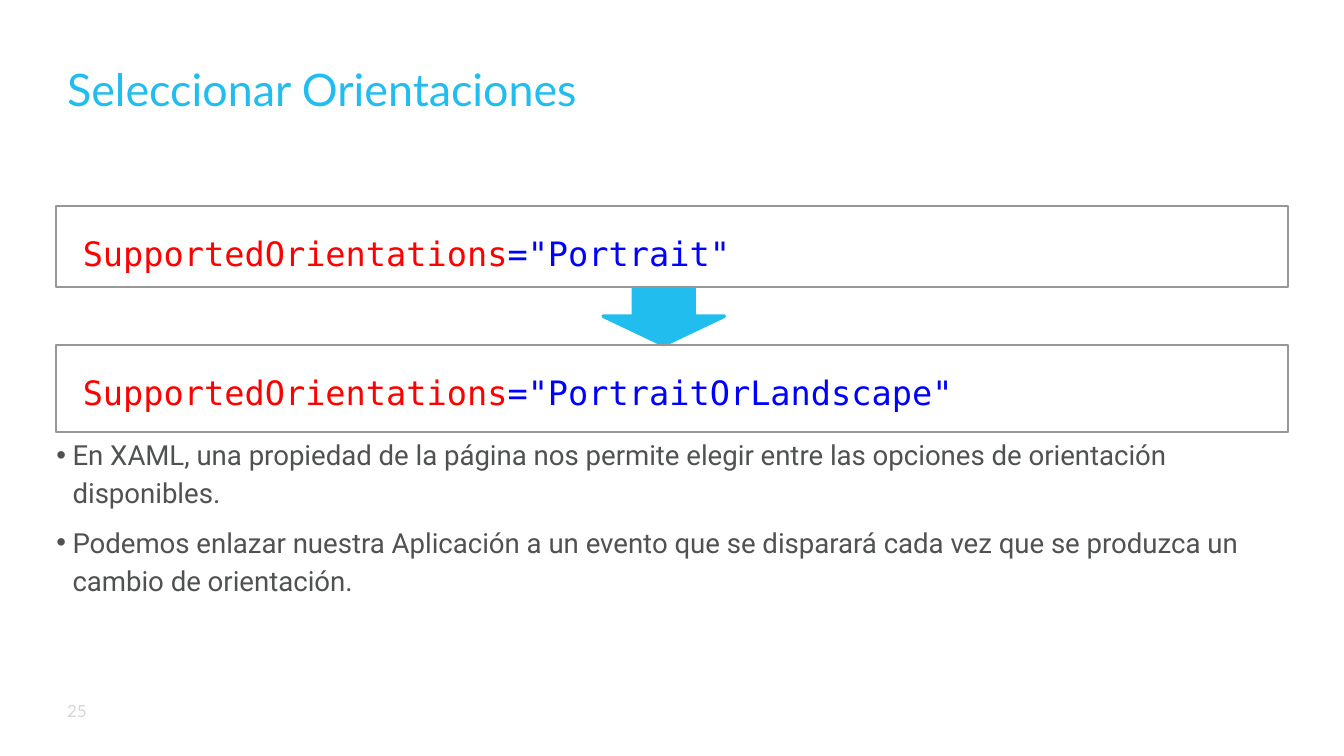
from lxml.etree import SubElement
from pptx import Presentation
from pptx.dml.color import RGBColor
from pptx.enum.shapes import MSO_SHAPE as Shape
from pptx.enum.text import MSO_ANCHOR as Anchor, PP_ALIGN as Align
from pptx.oxml.ns import qn
from pptx.util import Inches, Pt

WIDTH = 10  # slide size, inches, 16:9
HEIGHT = WIDTH * 9 / 16
ACCENT, BODY, MUTED, BORDER = "22BDEF", "505151", "D5D5D5", "979796"
ATTRIBUTE, VALUE = "FF0000", "0000FF"


def color(hex_string):
    return RGBColor.from_string(hex_string)


def place(left, top, width, height):
    """Turn a box given in percent of the slide into lengths."""
    shares = zip((left, top, width, height), (WIDTH, HEIGHT) * 2)
    return [Inches(share * side / 100) for share, side in shares]


def set_font(font, name, size, hex_string):
    font.name, font.size = name, Pt(size)
    font.color.rgb = color(hex_string)


def set_frame(shape, margins=(0, 0, 0, 0), anchor=Anchor.TOP, wrap=True):
    frame = shape.text_frame
    frame.margin_left, frame.margin_top, frame.margin_right, frame.margin_bottom = map(Inches, margins)
    frame.vertical_anchor, frame.word_wrap = anchor, wrap
    return frame


def add_shape(slide, kind, box, fill, line, line_width):
    shape = slide.shapes.add_shape(kind, *place(*box))
    shape.shadow.inherit = False
    shape.fill.solid()
    shape.fill.fore_color.rgb = color(fill)
    shape.line.color.rgb = color(line)
    shape.line.width = Pt(line_width)
    return shape


def add_label(slide, box, text, size, hex_string, spacing, **frame_options):
    frame = set_frame(slide.shapes.add_textbox(*place(*box)), **frame_options)
    paragraph = frame.paragraphs[0]
    paragraph.text, paragraph.line_spacing = text, spacing
    set_font(paragraph.font, "Lato", size, hex_string)


def add_bullets(slide, box, items):
    frame = set_frame(slide.shapes.add_textbox(*place(*box)))
    for index, item in enumerate(items):
        paragraph = frame.paragraphs[0] if index == 0 else frame.add_paragraph()
        paragraph.text, paragraph.line_spacing = item, 1.15
        paragraph.space_before = Pt(6 if index else 0)
        properties = paragraph._p.get_or_add_pPr()
        properties.set("marL", str(Inches(0.12)))
        properties.set("indent", str(Inches(-0.12)))
        SubElement(properties, qn("a:buFont"), typeface="Arial")
        SubElement(properties, qn("a:buChar"), char="•")
        set_font(paragraph.font, "Roboto", 14.8, BODY)


def add_code_box(slide, box, value):
    shape = add_shape(slide, Shape.RECTANGLE, box, "FFFFFF", BORDER, 1)
    # White fill at 80 % opacity
    fill = shape._element.spPr.find(qn("a:solidFill"))
    SubElement(fill[0], qn("a:alpha"), val="80000")
    frame = set_frame(shape, margins=(0.2, 0.2, 0.2, 0.05), wrap=False)
    paragraph = frame.paragraphs[0]
    paragraph.alignment = Align.LEFT
    for text, hex_string in (("SupportedOrientations", ATTRIBUTE), (f'="{value}"', VALUE)):
        run = paragraph.add_run()
        run.text = text
        set_font(run.font, "DejaVu Sans Mono", 18, hex_string)


def add_code_change(slide, box, before, after):
    """Two stacked code boxes with an arrow filling the gap between them."""
    left, top, width, height = box
    first, gap = 0.36 * height, 0.255 * height
    arrow_width = 9
    arrow_left = left + (width - arrow_width) / 2 - 0.6
    arrow_box = (arrow_left, top + first, arrow_width, gap)
    add_shape(slide, Shape.DOWN_ARROW, arrow_box, ACCENT, ACCENT, 2)
    add_code_box(slide, (left, top, width, first), before)
    add_code_box(slide, (left, top + first + gap, width, height - first - gap), after)


def main():
    presentation = Presentation()
    presentation.slide_width, presentation.slide_height = Inches(WIDTH), Inches(HEIGHT)
    slide = presentation.slides.add_slide(presentation.slide_layouts[6])

    # Title
    add_label(slide, (5, 7.8, 90, 7.5), "Seleccionar Orientaciones", 24, ACCENT, 1.05)

    # Code before and after
    add_code_change(slide, (4.16, 27.3, 91.66, 29.8), "Portrait", "PortraitOrLandscape")

    # Explanation
    add_bullets(slide, (4.2, 57.3, 91.7, 22), [
        "En XAML, una propiedad de la página nos permite elegir entre las opciones "
        "de orientación disponibles.",
        "Podemos enlazar nuestra Aplicación a un evento que se disparará cada vez que "
        "se produzca un cambio de orientación.",
    ])

    # Page number
    add_label(slide, (5, 92.3, 2.5, 2.7), "25", 9, MUTED, 1.25,
              anchor=Anchor.MIDDLE, wrap=False)

    presentation.save("out.pptx")


if __name__ == "__main__":
    main()
